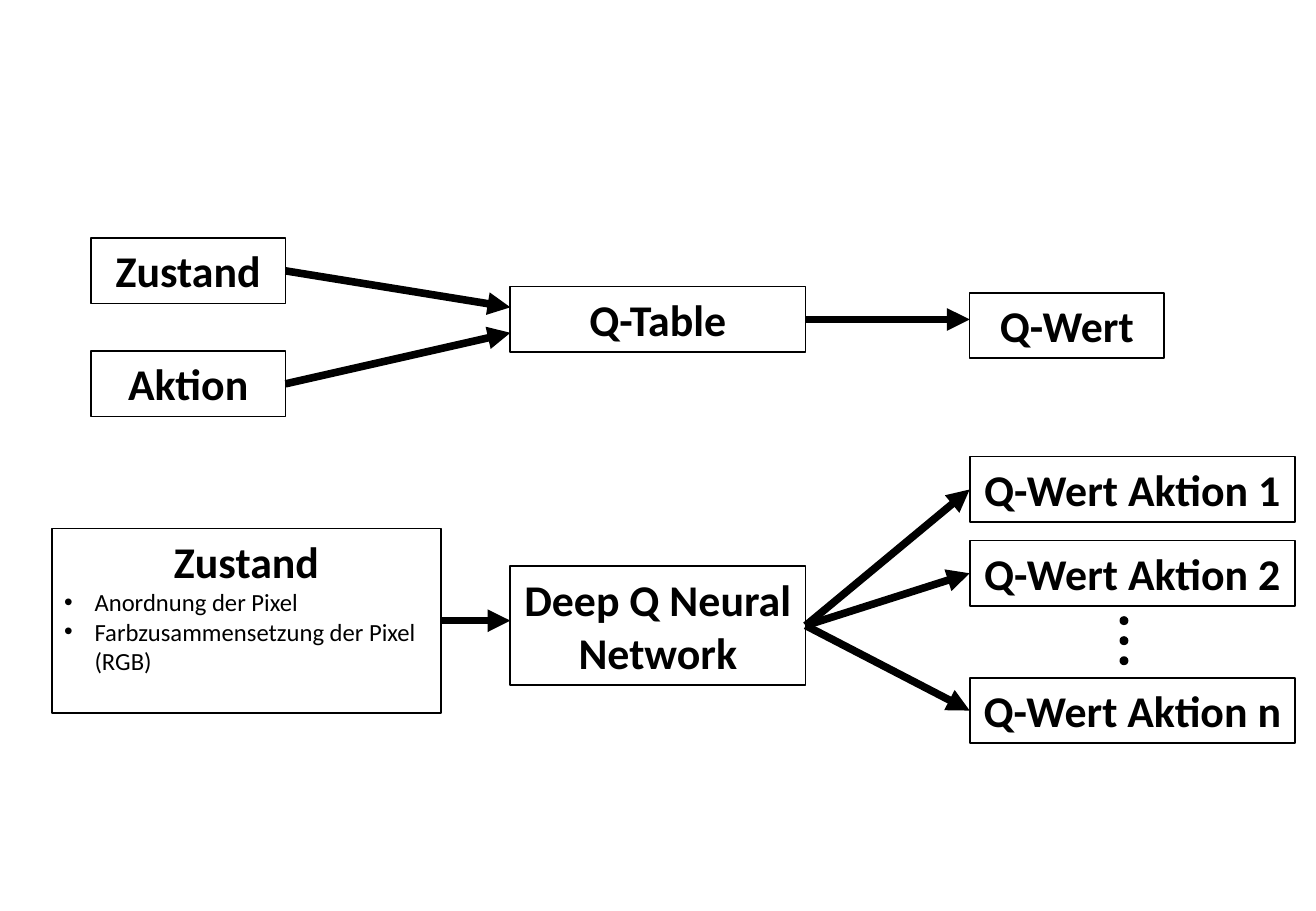
from lxml.etree import SubElement
from pptx import Presentation
from pptx.dml.color import RGBColor
from pptx.enum.shapes import MSO_CONNECTOR, MSO_SHAPE
from pptx.enum.text import MSO_ANCHOR, PP_ALIGN
from pptx.oxml.ns import qn
from pptx.util import Inches, Pt

COLORS = {"ink": "000000", "paper": "FFFFFF"}
FONT = "Calibri"
ROW = 0.54  # height of a one-line box
LEFT, RIGHT = 1, 3  # connection sites


def color(name):
    return RGBColor.from_string(COLORS[name])


def add_form(slide, kind, x, y, w, h, fill):
    form = slide.shapes.add_shape(kind, Inches(x), Inches(y), Inches(w), Inches(h))
    form.shadow.inherit = False
    form.fill.solid()
    form.fill.fore_color.rgb = color(fill)
    form.line.color.rgb = color("ink")
    form.line.width = Pt(1)
    return form


def style(para, size, bold, align):
    para.alignment = align
    para.font.name = FONT
    para.font.size = Pt(size)
    para.font.bold = bold
    para.font.color.rgb = color("ink")


def add_box(slide, text, x, y, w, h=ROW, anchor=MSO_ANCHOR.TOP):
    box = add_form(slide, MSO_SHAPE.RECTANGLE, x, y, w, h, "paper")
    frame = box.text_frame
    frame.word_wrap = True
    frame.vertical_anchor = anchor
    frame.text = text
    style(frame.paragraphs[0], 26, True, PP_ALIGN.CENTER)
    return box


def add_bullet(box, text):
    para = box.text_frame.add_paragraph()
    para.text = text
    style(para, 14.6, False, PP_ALIGN.LEFT)
    props = para._p.get_or_add_pPr()
    props.set("marL", str(Inches(0.25)))
    props.set("indent", str(-Inches(0.25)))
    SubElement(props, qn("a:buFont"), typeface="Arial")
    SubElement(props, qn("a:buChar"), char="•")


def add_arrow(slide, start, target=None, end=(0, 0)):
    """Runs from the right side of start to the left side of target, or to a point."""
    line = slide.shapes.add_connector(
        MSO_CONNECTOR.STRAIGHT, 0, 0, Inches(end[0]), Inches(end[1]))
    line.begin_connect(start, RIGHT)
    if target is not None:
        line.end_connect(target, LEFT)
    line.line.color.rgb = color("ink")
    line.line.width = Pt(4.5)
    SubElement(line.line._get_or_add_ln(), qn("a:tailEnd"), type="triangle")
    SubElement(line._element.spPr, qn("a:effectLst"))


def draw_table(slide, x, y):
    """Classic Q-learning: state and action lead to one value."""
    state = add_box(slide, "Zustand", x, y, 1.6)
    action = add_box(slide, "Aktion", x, y + 0.93, 1.6)
    table = add_box(slide, "Q-Table", x + 3.45, y + 0.4, 2.43, anchor=MSO_ANCHOR.MIDDLE)
    add_box(slide, "Q-Wert", x + 7.23, y + 0.45, 1.6)

    add_arrow(slide, state, end=(x + 3.45, y + 0.57))
    add_arrow(slide, action, end=(x + 3.45, y + 0.78))
    add_arrow(slide, table, end=(x + 7.23, y + 0.67))


def draw_network(slide, x, y):
    """Deep Q-learning: the state alone leads to a value for each action."""
    state = add_box(slide, "Zustand", x, y + 0.59, 3.2, 1.52)
    for text in ("Anordnung der Pixel", "Farbzusammensetzung der Pixel (RGB)"):
        add_bullet(state, text)
    network = add_box(slide, "Deep Q Neural Network", x + 3.77, y + 0.9, 2.43, 0.98,
                      MSO_ANCHOR.MIDDLE)
    add_arrow(slide, state, end=(x + 3.77, y + 1.35))

    # One value per action
    for name, drop in (("1", 0), ("2", 0.69), ("n", 1.82)):
        value = add_box(slide, f"Q-Wert Aktion {name}", x + 7.55, y + drop, 2.68)
        add_arrow(slide, network, value)

    # Dots for the actions left out
    for i in range(3):
        add_form(slide, MSO_SHAPE.OVAL, x + 8.79, y + 1.32 + i * 0.165, 0.06, 0.06, "ink")


def main():
    deck = Presentation()
    deck.slide_width, deck.slide_height = Inches(10.83), Inches(7.5)
    slide = deck.slides.add_slide(deck.slide_layouts[6])
    draw_table(slide, 0.75, 1.96)
    draw_network(slide, 0.43, 3.76)
    deck.save("out.pptx")


if __name__ == "__main__":
    main()
